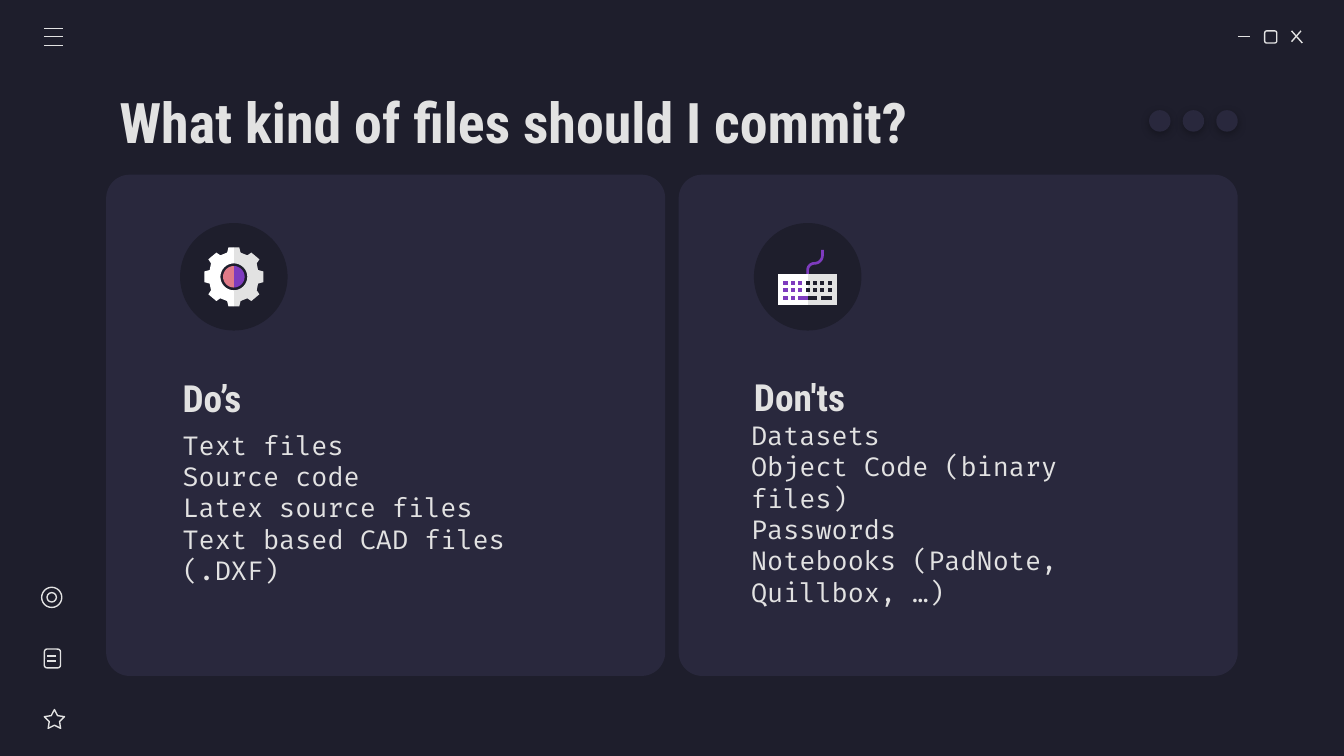
"""Build the slide about which files to commit."""
import math

import lxml.etree
import pptx
import pptx.dml.color
import pptx.enum.shapes
import pptx.enum.text
import pptx.oxml
import pptx.oxml.ns
import pptx.util
from pptx.util import Inches

RGBColor = pptx.dml.color.RGBColor
SHAPE = pptx.enum.shapes.MSO_SHAPE
NIGHT = RGBColor(0x1E, 0x1E, 0x2C)
PANEL = RGBColor(0x29, 0x28, 0x3D)
LIGHT = RGBColor(0xE2, 0xE2, 0xE2)
WHITE = RGBColor(0xFF, 0xFF, 0xFF)
PURPLE = RGBColor(0x7E, 0x3B, 0xBE)
PINK = RGBColor(0xE0, 0x7A, 0x88)
HEADING_FONT = "Roboto Condensed"
BODY_FONT = "Fira Code"


def paint(shape, fill=None, line=None):
    """Set the fill and outline of a shape and remove its shadow."""
    shape.shadow.inherit = False
    if fill is None:
        shape.fill.background()
    else:
        shape.fill.solid()
        shape.fill.fore_color.rgb = fill
    if line is None:
        shape.line.fill.background()
    else:
        shape.line.color.rgb = line
        shape.line.width = pptx.util.Pt(0.75)


def add_preset(slide, kind, bounds, fill=None, line=None):
    """Add a preset shape with bounds given in inches."""
    shape = slide.shapes.add_shape(kind, *map(Inches, bounds))
    paint(shape, fill, line)
    return shape


def add_line(slide, x1, y1, x2, y2):
    """Add a thin light line without shadow."""
    line = slide.shapes.add_connector(
        pptx.enum.shapes.MSO_CONNECTOR.STRAIGHT, *map(Inches, (x1, y1, x2, y2)))
    line.line.color.rgb = LIGHT
    line.line.width = pptx.util.Pt(0.75)
    properties = line._element.spPr
    lxml.etree.SubElement(properties, pptx.oxml.ns.qn("a:effectLst"))


def add_outline(slide, points, fill):
    """Add a filled closed outline through points in inches."""
    corners = [(Inches(x), Inches(y)) for x, y in points]
    builder = slide.shapes.build_freeform(*corners[0])
    builder.add_line_segments(corners[1:], close=True)
    paint(builder.convert_to_shape(), fill)


def add_block(slide, x, y, width, height, fill):
    """Add a filled four-cornered outline."""
    right, bottom = x + width, y + height
    add_outline(slide, [(x, y), (x, bottom), (right, bottom), (right, y)], fill)


def arc(x, y, radius, start, end):
    """Return points along a circular arc with angles in degrees."""
    steps = 16
    angles = [math.radians(start + (end - start) * i / steps) for i in range(steps + 1)]
    return [(x + radius * math.cos(a), y + radius * math.sin(a)) for a in angles]


def add_text(slide, bounds, lines, font, size, bold=False, left=0.1, bottom=0.1):
    """Add a wrapped, vertically centred text box."""
    box = slide.shapes.add_textbox(*map(Inches, bounds))
    frame = box.text_frame
    frame.word_wrap = True
    frame.vertical_anchor = pptx.enum.text.MSO_ANCHOR.MIDDLE
    frame.margin_left, frame.margin_bottom = Inches(left), Inches(bottom)
    frame.margin_top = frame.margin_right = Inches(0.1)
    frame.text = "\n".join(lines)
    for para in frame.paragraphs:
        para.font.name = font
        para.font.size = pptx.util.Pt(size)
        para.font.bold = bold
        para.font.color.rgb = LIGHT


def add_shadow(shape):
    """Give a shape a soft shadow below it."""
    effects = shape._element.spPr.find(pptx.oxml.ns.qn("a:effectLst"))
    effects.append(pptx.oxml.parse_xml(
        f'<a:outerShdw {pptx.oxml.ns.nsdecls("a")} blurRad="57150" dist="19050" '
        'dir="5400000" algn="bl" rotWithShape="0"><a:srgbClr val="000000">'
        '<a:alpha val="30000"/></a:srgbClr></a:outerShdw>'))


def add_window_controls(slide):
    """Draw the menu, minimise, maximise and close symbols."""
    add_line(slide, 9.21, 0.27, 9.3, 0.27)
    add_preset(slide, SHAPE.ROUNDED_RECTANGLE, (9.41, 0.23, 0.09, 0.09), line=LIGHT)
    add_line(slide, 9.61, 0.23, 9.69, 0.32)
    add_line(slide, 9.68, 0.23, 9.61, 0.31)
    for y in (0.21, 0.27, 0.34):
        add_line(slide, 0.33, y, 0.47, y)


def add_sidebar(slide):
    """Draw the star, document and ring symbols."""
    star = add_preset(slide, SHAPE.STAR_5_POINT, (0.33, 5.28, 0.15, 0.14), line=LIGHT)
    star.adjustments[0] = 0.254
    add_preset(slide, SHAPE.ROUNDED_RECTANGLE, (0.33, 4.83, 0.12, 0.14), line=LIGHT)
    for y in (4.88, 4.92):
        add_line(slide, 0.35, y, 0.42, y)
    for inset in (0, 0.04):
        size = 0.15 - 2 * inset
        add_preset(slide, SHAPE.OVAL, (0.31 + inset, 4.37 + inset, size, size), line=LIGHT)


def add_gear(slide):
    """Draw a two-tone gear from mirrored halves."""
    x, y = 1.74, 2.06
    teeth = [(0, -0.22), (0.04, -0.22), (0.05, -0.18), (0.1, -0.16), (0.13, -0.18),
             (0.19, -0.13), (0.17, -0.1), (0.18, -0.05), (0.22, -0.04)]
    rim = teeth + [(dx, -dy) for dx, dy in reversed(teeth)]
    gear = rim + arc(0, 0, 0.1, 90, -90)
    hub = arc(0, 0, 0.08, -90, 90)
    for outline, side, fill in ((hub, 1, PURPLE), (hub, -1, PINK),
                                (gear, 1, LIGHT), (gear, -1, WHITE)):
        add_outline(slide, [(x + side * dx, y + dy) for dx, dy in outline], fill)


def add_keyboard(slide):
    """Draw a two-tone keyboard with its cable."""
    cable = ([(6.11, 1.86)] + arc(6.06, 1.9, 0.05, 0, 90)
             + arc(6.06, 2.01, 0.06, 270, 180) + [(6, 2.07), (6.02, 2.07)]
             + arc(6.06, 2.01, 0.04, 180, 270) + arc(6.06, 1.9, 0.07, 90, 0)
             + [(6.13, 1.86)])
    add_outline(slide, cable, PURPLE)
    add_block(slide, 5.99, 2.04, 0.24, 0.23, LIGHT)
    add_block(slide, 5.79, 2.04, 0.22, 0.23, WHITE)
    for y, count in ((2.09, 7), (2.14, 7), (2.2, 2)):
        for column in range(count):
            fill = PURPLE if column < 3 else NIGHT
            add_block(slide, 5.83 + 0.055 * column, y, 0.03, 0.03, fill)
    for x, width, fill in ((6.11, 0.08, NIGHT), (6, 0.08, NIGHT), (5.94, 0.07, PURPLE)):
        add_block(slide, x, 2.2, width, 0.03, fill)


def main():
    """Build and save the deck."""
    deck = pptx.Presentation()
    deck.slide_width, deck.slide_height = Inches(10), Inches(10 * 9 / 16)
    slide = deck.slides.add_slide(deck.slide_layouts[6])
    slide.background.fill.solid()
    slide.background.fill.fore_color.rgb = NIGHT

    for panel_left, badge_left in ((0.79, 1.34), (5.05, 5.61)):
        panel = add_preset(slide, SHAPE.ROUNDED_RECTANGLE,
                           (panel_left, 1.3, 4.16, 3.73), PANEL)
        panel.adjustments[0] = 0.047
        add_preset(slide, SHAPE.OVAL, (badge_left, 1.66, 0.8, 0.8), NIGHT)
    add_window_controls(slide)
    add_sidebar(slide)
    add_gear(slide)
    add_keyboard(slide)

    add_text(slide, (0.79, 0.59, 8.43, 0.63), ["What kind of files should I commit?"],
             HEADING_FONT, 30, bold=True)
    add_text(slide, (1.26, 2.7, 3.22, 0.51), ["Do’s"], HEADING_FONT, 20, bold=True)
    add_text(slide, (5.61, 2.8, 3.22, 0.3), ["Don'ts"], HEADING_FONT, 20, bold=True, left=0)
    add_text(slide, (1.26, 3.12, 3.22, 1.78),
             ["Text files", "Source code", "Latex source files", "Text based CAD files (.DXF)"],
             BODY_FONT, 14, bottom=0.57)
    add_text(slide, (5.49, 3.2, 3.22, 1.7),
             ["Datasets", "Object Code (binary files)", "Passwords",
              "Notebooks (PadNote, Quillbox, …)"],
             BODY_FONT, 14, bottom=0.56)
    for index in range(3):
        add_shadow(add_preset(slide, SHAPE.OVAL, (8.55 + 0.25 * index, 0.82, 0.16, 0.16), PANEL))
    deck.save("out.pptx")


if __name__ == "__main__":
    main()
